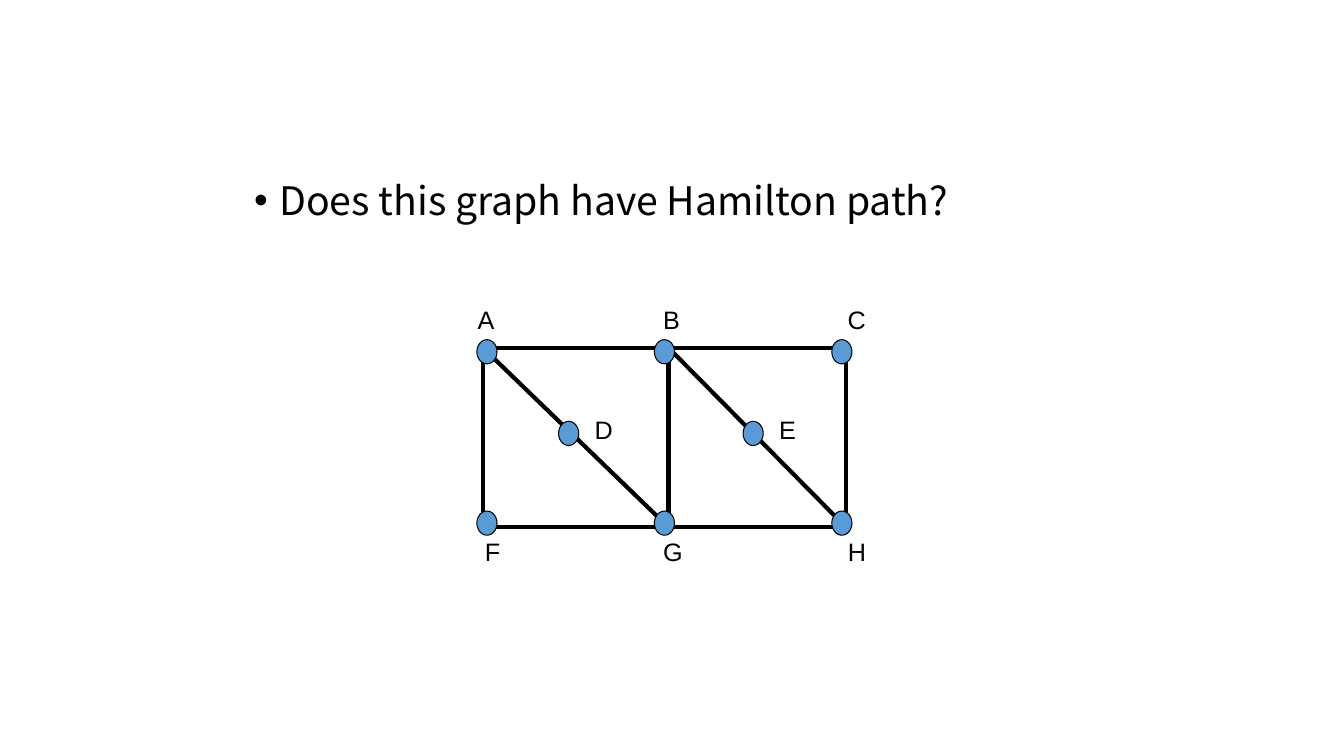
"""Build a slide asking whether a small graph has a Hamilton path."""
from lxml.etree import SubElement
from pptx import Presentation
from pptx.dml.color import RGBColor
from pptx.enum.shapes import MSO_CONNECTOR as CONN, MSO_SHAPE as SHAPE
from pptx.enum.text import MSO_ANCHOR as ANCHOR, MSO_AUTO_SIZE as FIT, PP_ALIGN as ALIGN
from pptx.oxml.ns import qn
from pptx.util import Inches, Pt

QUESTION = "Does this graph have Hamilton path?"
BLACK, BLUE = "000000", "5B9BD5"
CORNERS = {
    "A": (4.79, 3.45), "B": (6.63, 3.45), "C": (8.39, 3.45),
    "F": (4.79, 5.23), "G": (6.63, 5.23), "H": (8.39, 5.23),
}
EDGES = ["AC", "FH", "AF", "CH", "AG", "BH", "BG"]
NODE_COLS = {4.73: "AF", 5.54: "D", 6.49: "BG", 7.37: "E", 8.25: "CH"}
NODE_ROWS = {3.37: "ABC", 4.18: "DE", 5.07: "FGH"}
NODE_W, NODE_H = 0.2, 0.24
LABEL_ROWS = {
    2.97: [("A", 4.64, 0.37), ("B", 6.48, 0.37), ("C", 8.31, 0.34)],
    4.06: [("D", 5.8, 0.38), ("E", 7.63, 0.37)],
    5.27: [("F", 4.71, 0.35), ("G", 6.48, 0.4), ("H", 8.31, 0.38)],
}
LABEL_H = 0.4


def color(value):
    return RGBColor.from_string(value)


def place(sp, *box):
    sp.left, sp.top, sp.width, sp.height = map(Inches, box)


def add_text(p, text, font, size):
    r = p.add_run()
    r.text = text
    r.font.name, r.font.size = font, Pt(size)
    r.font.color.rgb = color(BLACK)
    return r


def add_question(s):
    s.shapes.title.element.getparent().remove(s.shapes.title.element)
    sp = s.placeholders[1]
    place(sp, 2.42, 1.75, 8.5, 1.14)
    tf = sp.text_frame
    tf.word_wrap, tf.auto_size, tf.vertical_anchor = True, FIT.NONE, ANCHOR.TOP
    p = tf.paragraphs[0]
    p.alignment, p.line_spacing, p.space_before = ALIGN.LEFT, 0.9, Pt(0)
    pPr = p._p.get_or_add_pPr()
    pPr.set("marL", str(Inches(0.25)))
    pPr.set("indent", str(Inches(-0.25)))
    SubElement(pPr, qn("a:buFont")).set("typeface", "Arial")
    SubElement(pPr, qn("a:buChar")).set("char", "•")
    r = add_text(p, QUESTION, "Noto Sans CJK SC", 28)
    SubElement(r.font._element, qn("a:ea")).set("typeface", "Noto Sans CJK SC")


def add_edge(s, start, end):
    ends = map(Inches, CORNERS[start] + CORNERS[end])
    line = s.shapes.add_connector(CONN.STRAIGHT, *ends)
    line.line.color.rgb, line.line.width = color(BLACK), Pt(3)
    SubElement(line._element.spPr, qn("a:effectLst"))


def add_node(s, x, y):
    sp = s.shapes.add_shape(SHAPE.OVAL, *map(Inches, (x, y, NODE_W, NODE_H)))
    sp.shadow.inherit = False
    sp.fill.solid()
    sp.fill.fore_color.rgb = color(BLUE)
    sp.line.color.rgb, sp.line.width = color(BLACK), Pt(0.75)


def add_label(s, name, x, y, width):
    sp = s.shapes.add_textbox(*map(Inches, (x, y, width, LABEL_H)))
    tf = sp.text_frame
    tf.word_wrap, tf.auto_size = False, FIT.SHAPE_TO_FIT_TEXT
    add_text(tf.paragraphs[0], name, "Arial", 18)


def main():
    prs = Presentation()
    prs.slide_width, prs.slide_height = Inches(13.33), Inches(7.5)
    s = prs.slides.add_slide(prs.slide_layouts[1])
    add_question(s)
    for start, end in EDGES:
        add_edge(s, start, end)
    for x, column in NODE_COLS.items():
        for y, row in NODE_ROWS.items():
            if set(column) & set(row):
                add_node(s, x, y)
    for y, labels in LABEL_ROWS.items():
        for name, x, width in labels:
            add_label(s, name, x, y, width)
    prs.save("out.pptx")


if __name__ == "__main__":
    main()
